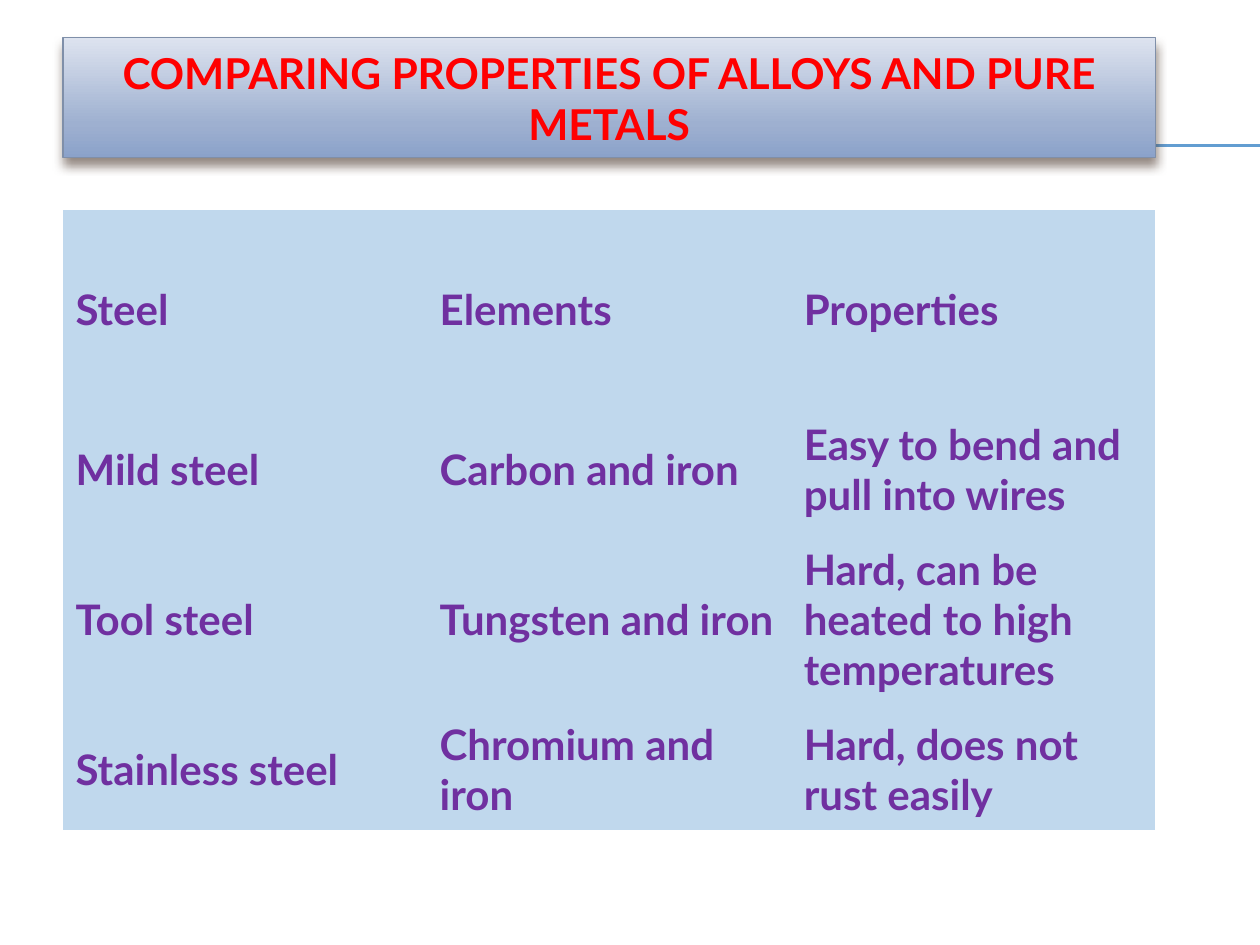
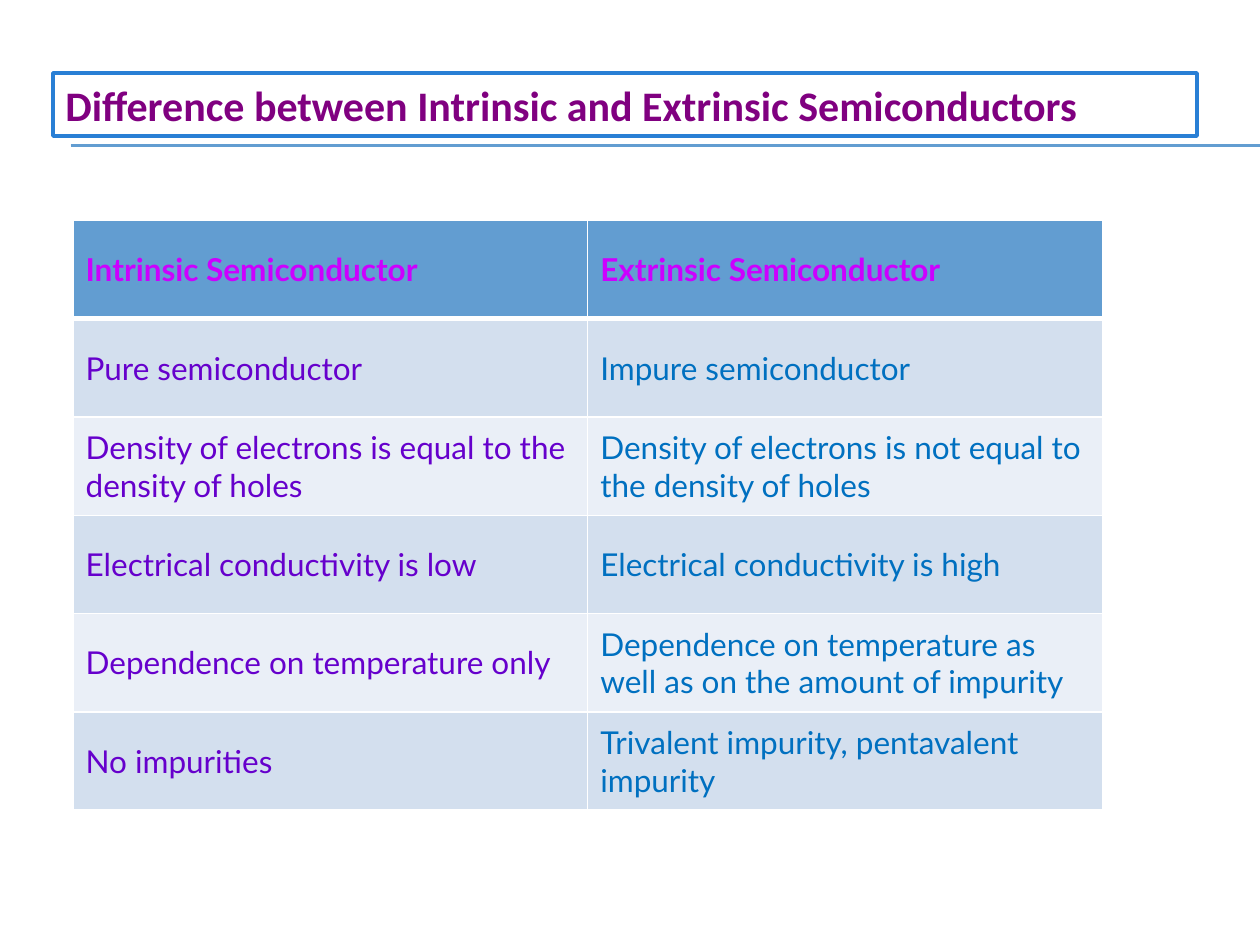
"""Builds two slides that compare materials in tables: steels, then semiconductors."""
from copy import deepcopy
from dataclasses import dataclass

from lxml.etree import SubElement
from pptx import Presentation
from pptx.dml.color import RGBColor
from pptx.enum.shapes import MSO_CONNECTOR, MSO_SHAPE
from pptx.enum.text import MSO_ANCHOR, PP_ALIGN
from pptx.oxml.ns import qn
from pptx.util import Inches, Pt

STEEL_TITLE = "COMPARING PROPERTIES OF ALLOYS AND PURE METALS"
STEELS = [
    ("Steel", "Elements", "Properties"),
    ("Mild steel", "Carbon and iron", "Easy to bend and pull into wires"),
    ("Tool steel", "Tungsten and iron", "Hard, can be heated to high temperatures"),
    ("Stainless steel", "Chromium and iron", "Hard, does not rust easily"),
]
SEMICONDUCTOR_TITLE = "Difference between Intrinsic and Extrinsic Semiconductors"
SEMICONDUCTORS = [
    ("Intrinsic Semiconductor", "Extrinsic Semiconductor"),
    ("Pure semiconductor", "Impure semiconductor"),
    ("Density of electrons is equal to the density of holes",
     "Density of electrons is not equal to the density of holes"),
    ("Electrical conductivity is low", "Electrical conductivity is high"),
    ("Dependence on temperature only",
     "Dependence on temperature as well as on the amount of impurity"),
    ("No impurities", "Trivalent impurity, pentavalent impurity"),
]


@dataclass(frozen=True)
class Theme:
    """Colours, fonts and type sizes."""
    body_font: str = "Lato"
    box_font: str = "Calibri"
    banner_size: float = 24.3
    large: float = 24
    small: float = 18
    accent: str = "629DD1"
    white: str = "FFFFFF"
    banner_stops: tuple = ((0, "DDE3EF"), (0.72, "9EB0D0"), (1, "8BA2CA"))
    banner_line: str = "7F8FA9"
    banner_text: str = "FF0000"
    banner_shadow: str = "4E3B30"
    box_line: str = "297FD5"
    box_text: str = "800080"
    steel_fill: str = "C0D8ED"
    steel_text: str = "7030A0"
    header_text: str = "CC00FF"
    column_text: tuple = ("6600CC", "0070C0")
    bands: tuple = ("D3DFEE", "EAEFF7")


THEME = Theme()
SLIDE_WIDTH, SLIDE_HEIGHT = 10, 7.5
RULE_LEFT, RULE_TOPS = 0.56, (1.15, 1.16)
BANNER = (0.5, 0.3, 8.67, 0.95)
TITLE_BOX = (0.42, 0.58, 9.08, 0.5)
STEEL_GRID = (0.5, 1.67, 8.67)
STEEL_ROWS = (1.57, 0.97, 1.41, 0.97)
SEMICONDUCTOR_GRID = (0.58, 1.75, 8.17)
SEMICONDUCTOR_ROWS = (0.78,) * len(SEMICONDUCTORS)
PLAIN_TABLE_STYLE = "{2D5ABB26-0587-4C30-8999-92F81FD0307C}"
rgb = RGBColor.from_string


def write(frame, text, font, size, color, bold=True, align=PP_ALIGN.LEFT):
    frame.text = text
    frame.word_wrap = True
    paragraph = frame.paragraphs[0]
    paragraph.alignment = align
    style = paragraph.runs[0].font
    style.name, style.size, style.bold = font, Pt(size), bold
    style.color.rgb = rgb(color)


def add_ruled_slide(deck):
    slide = deck.slides.add_slide(deck.slide_layouts[6])
    for top in RULE_TOPS:
        rule = slide.shapes.add_connector(
            MSO_CONNECTOR.STRAIGHT, Inches(RULE_LEFT), Inches(top),
            Inches(SLIDE_WIDTH), Inches(top))
        rule.line.color.rgb = rgb(THEME.accent)
        rule.line.width = Pt(0.75)
        SubElement(rule._element.spPr, qn("a:effectLst"))
    return slide


def add_title(slide, place, line_color, line_width, *text_style):
    title = slide.shapes.add_shape(MSO_SHAPE.RECTANGLE, *map(Inches, place))
    title.shadow.inherit = False
    title.fill.solid()
    title.fill.fore_color.rgb = rgb(THEME.white)
    title.line.color.rgb = rgb(line_color)
    title.line.width = Pt(line_width)
    title.text_frame.vertical_anchor = MSO_ANCHOR.MIDDLE
    write(title.text_frame, *text_style)
    return title


def shade_banner(banner):
    banner.fill.gradient()
    banner.fill.gradient_angle = 270
    properties = banner._element.spPr
    stop_list = properties.find(".//" + qn("a:gsLst"))
    stop_list.append(deepcopy(stop_list[-1]))
    for stop, (position, color) in zip(banner.fill.gradient_stops, THEME.banner_stops):
        stop.position = position
        stop.color.rgb = rgb(color)
    shadow = SubElement(properties.find(qn("a:effectLst")), qn("a:outerShdw"),
                        blurRad=str(Pt(6)), dist=str(Pt(4)), dir="5400000", rotWithShape="0")
    tint = SubElement(shadow, qn("a:srgbClr"), val=THEME.banner_shadow)
    SubElement(tint, qn("a:alpha"), val="60000")


def add_border(cell, side, width):
    edge = SubElement(cell._tc.get_or_add_tcPr(), qn(f"a:ln{side}"), w=str(Pt(width)))
    SubElement(SubElement(edge, qn("a:solidFill")), qn("a:srgbClr"), val=THEME.white)


def add_grid(slide, content, place, heights, style_cell):
    left, top, width = place
    columns = len(content[0])
    table = slide.shapes.add_table(len(content), columns, *map(
        Inches, (left, top, width, sum(heights)))).table
    table._tbl.tblPr.find(qn("a:tableStyleId")).text = PLAIN_TABLE_STYLE
    table.first_row = table.horz_banding = False
    for column in table.columns:
        column.width = Inches(width / columns)
    for r, (height, entries) in enumerate(zip(heights, content)):
        table.rows[r].height = Inches(height)
        for c, entry in enumerate(entries):
            cell = table.cell(r, c)
            cell.vertical_anchor = MSO_ANCHOR.MIDDLE
            style_cell(cell, entry, r, c)


def fill_cell(cell, color):
    cell.fill.solid()
    cell.fill.fore_color.rgb = rgb(color)


def style_steel(cell, entry, row, column):
    write(cell.text_frame, entry, THEME.body_font, THEME.large, THEME.steel_text)
    fill_cell(cell, THEME.steel_fill)


def style_semiconductor(cell, entry, row, column):
    header = row == 0
    color = THEME.header_text if header else THEME.column_text[column]
    write(cell.text_frame, entry, THEME.body_font, THEME.small, color, header)
    for side in "LRTB":
        under_header = (row, side) in ((0, "B"), (1, "T"))
        add_border(cell, side, 3 if under_header else 1)
    fill_cell(cell, THEME.accent if header else THEME.bands[(row - 1) % 2])


def main():
    deck = Presentation()
    deck.slide_width, deck.slide_height = Inches(SLIDE_WIDTH), Inches(SLIDE_HEIGHT)

    steel_slide = add_ruled_slide(deck)
    banner = add_title(steel_slide, BANNER, THEME.banner_line, 0.79, STEEL_TITLE,
                       THEME.body_font, THEME.banner_size, THEME.banner_text,
                       True, PP_ALIGN.CENTER)
    shade_banner(banner)
    add_grid(steel_slide, STEELS, STEEL_GRID, STEEL_ROWS, style_steel)

    semiconductor_slide = add_ruled_slide(deck)
    add_grid(semiconductor_slide, SEMICONDUCTORS, SEMICONDUCTOR_GRID,
             SEMICONDUCTOR_ROWS, style_semiconductor)
    add_title(semiconductor_slide, TITLE_BOX, THEME.box_line, 2, SEMICONDUCTOR_TITLE,
              THEME.box_font, THEME.large, THEME.box_text)

    deck.save("out.pptx")


if __name__ == "__main__":
    main()
